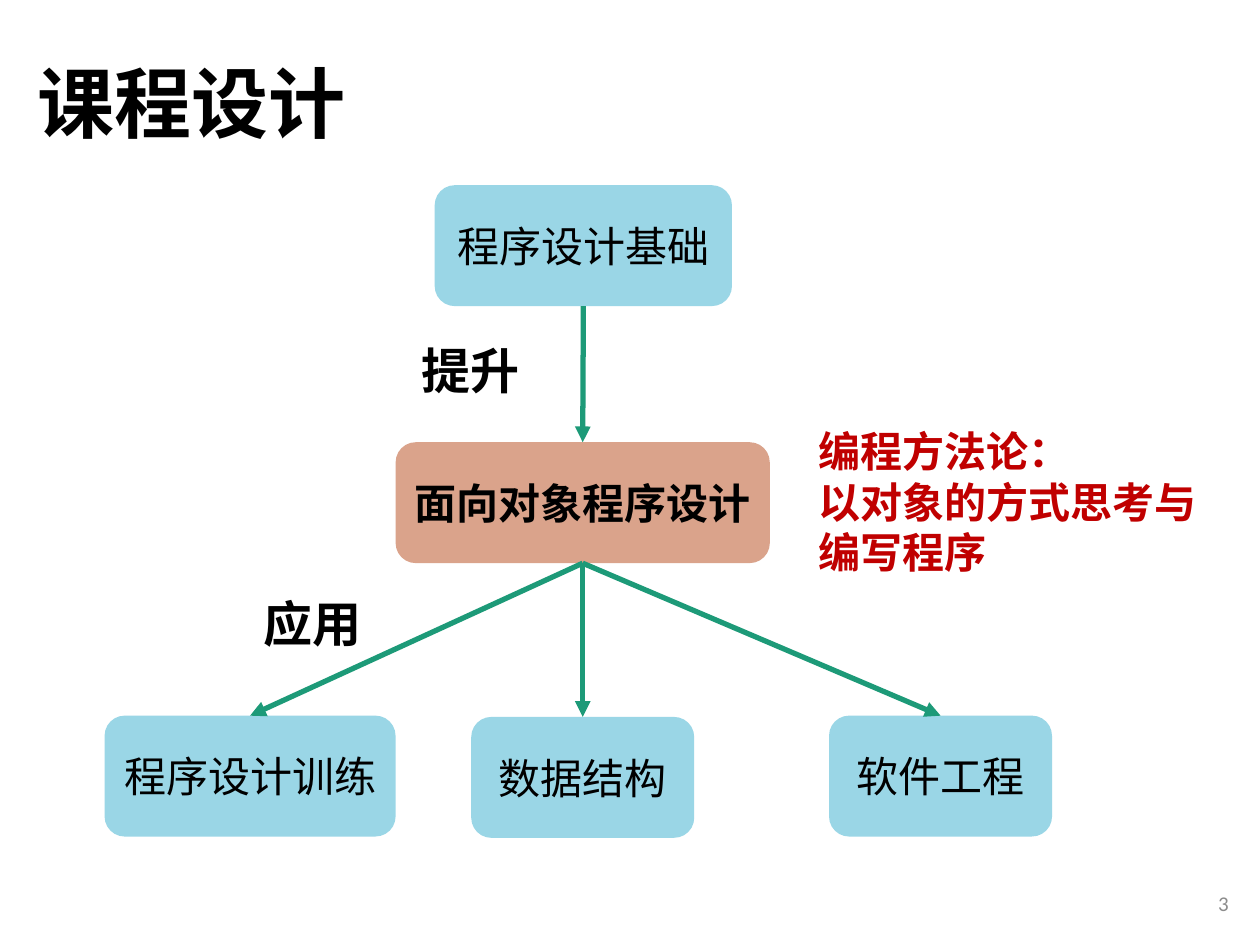
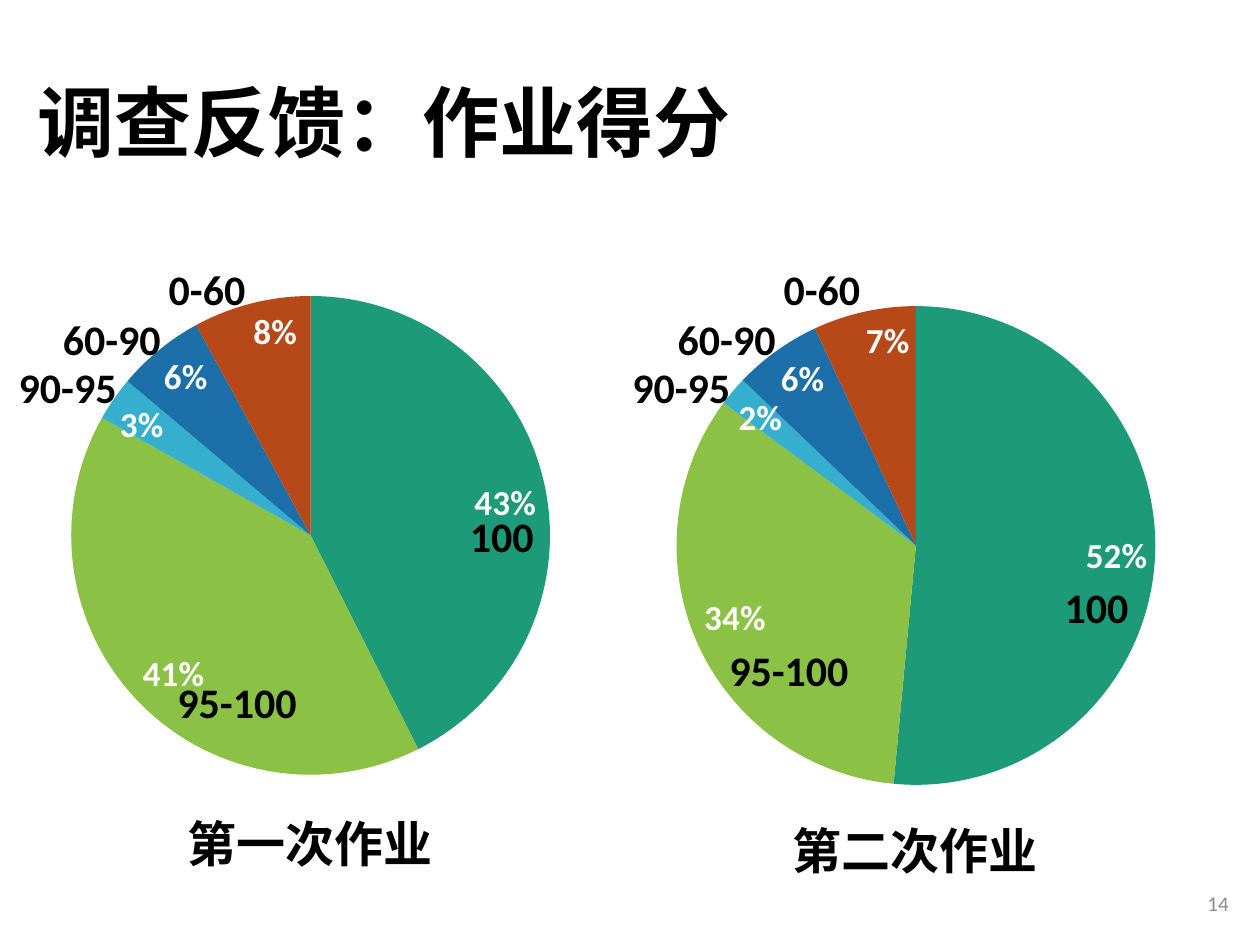
from pptx import Presentation
from pptx.chart.data import CategoryChartData
from pptx.dml.color import RGBColor
from pptx.enum.chart import XL_CHART_TYPE as CT, XL_LABEL_POSITION as LP
from pptx.enum.shapes import MSO_CONNECTOR as MC, MSO_SHAPE as MS
from pptx.enum.text import MSO_ANCHOR as MA, PP_ALIGN as PA
from pptx.oxml import parse_xml
from pptx.oxml.ns import nsdecls, qn
from pptx.util import Inches, Pt
from lxml import etree

BLACK, WHITE, GRAY, RED = "000000", "FFFFFF", "8C8C8C", "C00000"
GREEN, LIME, SKY, BLUE, RUST = "1D9A78", "8BC145", "36AFCE", "1D6FA9", "B74919"
BODY, HEAD = "Calibri", "Noto Sans CJK SC"


def rgb(value):
    return RGBColor.from_string(value)


def write(s, text, size=24, color=BLACK, bold=False, font=BODY, align=PA.LEFT,
          anchor=MA.TOP, wrap=True, spacing=None):
    tf = s.text_frame
    tf.word_wrap = wrap
    tf.vertical_anchor = anchor
    for i, line in enumerate(text.split("\n")):
        p = tf.add_paragraph() if i else tf.paragraphs[0]
        p.alignment = align
        p.line_spacing = spacing
        r = p.add_run()
        r.text = line
        r.font.size, r.font.bold, r.font.name = Pt(size), bold, font
        r.font.color.rgb = rgb(color)
        ea = etree.SubElement(r.font._element, qn("a:ea"))
        ea.set("typeface", HEAD)


prs = Presentation()
prs.slide_width, prs.slide_height = Inches(10), Inches(7.5)

slides = []
for title, top, number in [("课程设计", 0.13, "3"), ("调查反馈：作业得分", 0.28, "14")]:
    slide = prs.slides.add_slide(prs.slide_layouts[6])
    slides.append(slide)
    s = slide.shapes.add_textbox(Inches(0.2), Inches(top), Inches(8.62), Inches(1.45))
    write(s, title, size=44, bold=True, font=HEAD, anchor=MA.MIDDLE, spacing=0.9)
    s = slide.shapes.add_textbox(Inches(7.6), Inches(6.97), Inches(2.25), Inches(0.4))
    write(s, number, size=12, color=GRAY, align=PA.RIGHT, anchor=MA.MIDDLE)
course, survey = slides

boxes = []
for text, x, y, w, color in [
    ("程序设计基础", 3.45, 1.47, 2.36, SKY),
    ("面向对象程序设计", 3.14, 3.51, 2.97, RUST),
    ("程序设计训练", 0.83, 5.68, 2.31, SKY),
    ("数据结构", 3.74, 5.69, 1.77, SKY),
    ("软件工程", 6.58, 5.68, 1.77, SKY),
]:
    s = course.shapes.add_shape(MS.ROUNDED_RECTANGLE, Inches(x), Inches(y), Inches(w), Inches(0.96))
    s.shadow.inherit = False
    s.fill.solid()
    s.fill.fore_color.rgb = rgb(color)
    clr = s._element.spPr.find(qn("a:solidFill"))[0]
    etree.SubElement(clr, qn("a:alpha")).set("val", "50000")
    s.line.fill.background()
    write(s, text, bold=color == RUST, align=PA.CENTER, anchor=MA.MIDDLE)
    boxes.append(s)

basics, oop, *uses = boxes
for start, end in [(basics, oop)] + [(oop, use) for use in uses]:
    s = course.shapes.add_connector(MC.STRAIGHT, 0, 0, 0, 0)
    s.begin_connect(start, 2)
    s.end_connect(end, 0)
    s.line.width = Pt(3)
    s.line.color.rgb = rgb(GREEN)
    etree.SubElement(s.line._get_or_add_ln(), qn("a:tailEnd")).set("type", "triangle")
    etree.SubElement(s._element.spPr, qn("a:effectLst"))

s = course.shapes.add_textbox(Inches(6.4), Inches(3.33), Inches(3.45), Inches(1.31))
write(s, "编程方法论：\n以对象的方式思考与编写程序", color=RED, bold=True)
for text, x, y in [("提升", 3.25, 2.65), ("应用", 1.99, 4.66)]:
    s = course.shapes.add_textbox(Inches(x), Inches(y), Inches(0.99), Inches(0.57))
    write(s, text, size=28, bold=True, wrap=False)

PIE = 3.8
H = 4.08
for caption, cx, cy, x, y, w, values, places in [
    ("第一次作业", 1.39, 6.41, 0.02, 2.21, 4.89, (43, 41, 3, 6, 8),
     [(3.63, 4), (1.31, 5.32), (0.05, 2.82), (0.4, 2.44), (1.24, 2.04)]),
    ("第二次作业", 6.19, 6.46, 4.21, 2.29, 6.12, (52, 34, 2, 6, 7),
     [(8.35, 4.57), (5.69, 5.07), (4.92, 2.82), (5.28, 2.44), (6.12, 2.04)]),
]:
    s = survey.shapes.add_textbox(Inches(cx), Inches(cy), Inches(2.17), Inches(0.57))
    write(s, caption, size=28, bold=True, wrap=False)

    data = CategoryChartData()
    data.categories = ["1", "2", "3", "4", "5"]
    data.add_series("Series 1", values)
    chart = survey.shapes.add_chart(CT.PIE, Inches(x), Inches(y), Inches(w), Inches(H), data).chart
    chart.has_title = chart.has_legend = False
    chart.font.name, chart.font.size = BODY, Pt(10)
    chart.font.color.rgb = rgb(BLACK)
    plot = chart.plots[0]
    plot.vary_by_categories = True
    for i, color in enumerate([GREEN, LIME, SKY, BLUE, RUST]):
        fill = plot.series[0].points[i].format.fill
        fill.solid()
        fill.fore_color.rgb = rgb(color)
    plot.has_data_labels = True
    labels = plot.data_labels
    labels.show_value = True
    labels.number_format, labels.number_format_is_linked = '0"%"', False
    labels.position = LP.INSIDE_END
    labels.font.name, labels.font.size, labels.font.bold = BODY, Pt(20), True
    labels.font.color.rgb = rgb(WHITE)
    area = chart._chartSpace.chart.plotArea
    for old in area.findall(qn("c:layout")):
        area.remove(old)
    fw, fh = PIE / w, PIE / H
    area.insert(0, parse_xml(
        f'<c:layout {nsdecls("c")}><c:manualLayout><c:layoutTarget val="inner"/>'
        '<c:xMode val="edge"/><c:yMode val="edge"/>'
        f'<c:x val="{(1 - fw) / 2:.4f}"/><c:y val="{(1 - fh) / 2:.4f}"/>'
        f'<c:w val="{fw:.4f}"/><c:h val="{fh:.4f}"/></c:manualLayout></c:layout>'))

    grades = [("100", 0.71), ("95-100", 1.16), ("90-95", 0.99), ("60-90", 0.99), ("0-60", 0.82)]
    for (text, tw), (tx, ty) in zip(grades, places):
        s = survey.shapes.add_textbox(Inches(tx), Inches(ty), Inches(tw), Inches(0.5))
        write(s, text, bold=True, wrap=False)

prs.save("out.pptx")
